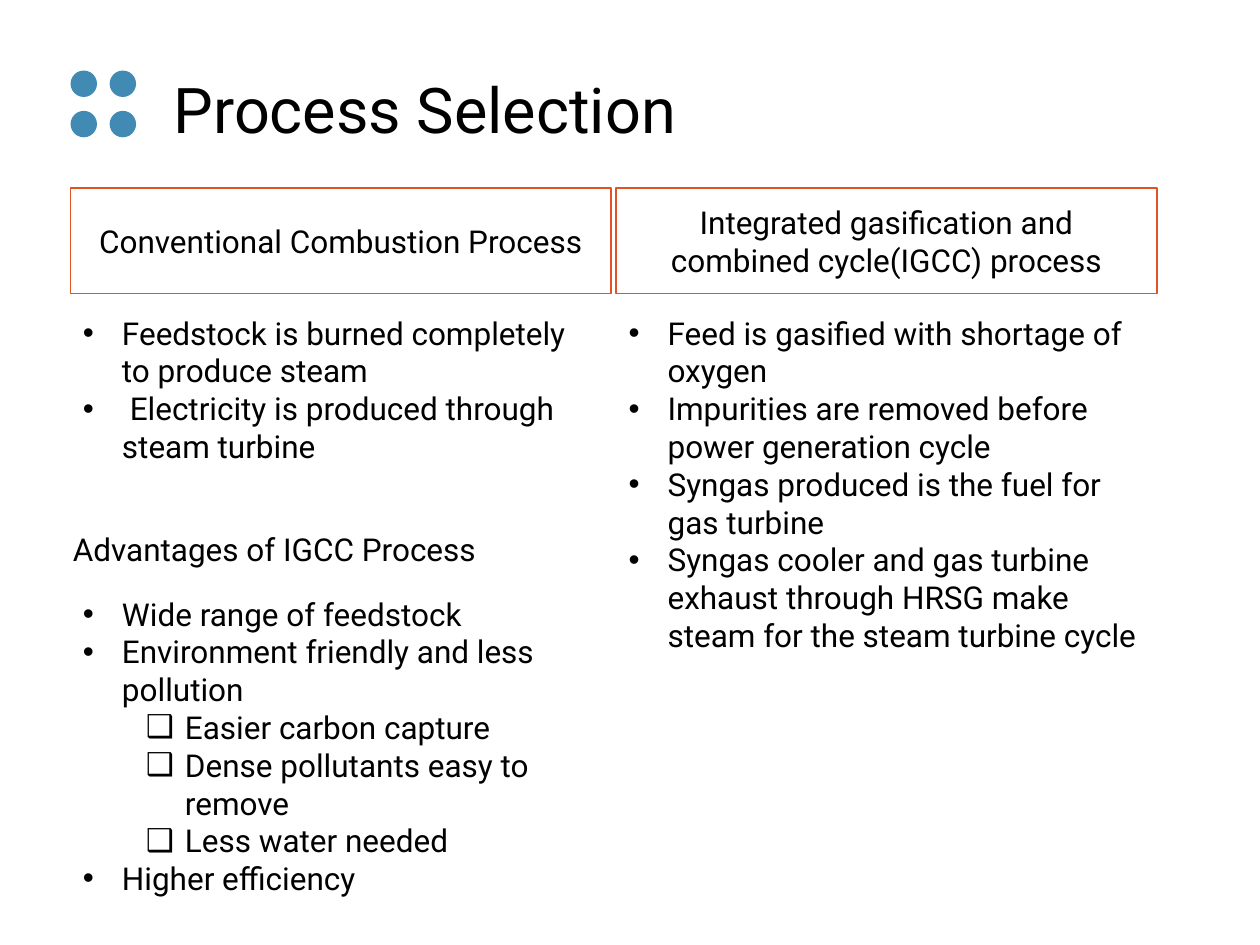
"""Build the Process Selection slide comparing combustion with IGCC."""
from lxml import etree
from pptx import Presentation
from pptx.dml.color import RGBColor
from pptx.enum.shapes import MSO_SHAPE
from pptx.enum.text import MSO_ANCHOR, MSO_AUTO_SIZE, PP_ALIGN
from pptx.oxml.ns import qn
from pptx.util import Pt

PX = 9144
FONT = "Roboto"
BLACK = RGBColor(0x00, 0x00, 0x00)
WHITE = RGBColor(0xFF, 0xFF, 0xFF)
ORANGE = RGBColor(0xDF, 0x53, 0x27)
BLUE = RGBColor(0x41, 0x8A, 0xB3)
RECTANGLE = MSO_SHAPE.RECTANGLE
OVAL = MSO_SHAPE.OVAL
MIDDLE = MSO_ANCHOR.MIDDLE
FIT_TEXT = MSO_AUTO_SIZE.SHAPE_TO_FIT_TEXT
LEFT, CENTER = PP_ALIGN.LEFT, PP_ALIGN.CENTER

LEFT_COLUMN, RIGHT_COLUMN, COLUMN_WIDTH = 56, 489, 429
BULLETS = ["•", "❑"]
INDENT, LEVEL_STEP = 31, 50


def write(frame, items, size=18, align=LEFT, bulleted=False):
    frame.word_wrap = True
    for index, (level, text) in enumerate(items):
        para = frame.paragraphs[0] if index == 0 else frame.add_paragraph()
        para.alignment = align
        para.level = level
        if bulleted:
            props = para._p.get_or_add_pPr()
            props.set("marL", str((INDENT + LEVEL_STEP * level) * PX))
            props.set("indent", str(-INDENT * PX))
            etree.SubElement(props, qn("a:buFont")).set("typeface", "Arial")
            etree.SubElement(props, qn("a:buChar")).set("char", BULLETS[level])
        span = para.add_run()
        span.text = text
        span.font.name = FONT
        span.font.size = Pt(size)
        span.font.color.rgb = BLACK


deck = Presentation()
deck.slide_width = 1000 * PX
deck.slide_height = 750 * PX
page = deck.slides.add_slide(deck.slide_layouts[6])

headings = [
    (LEFT_COLUMN, "Conventional Combustion Process"),
    (RIGHT_COLUMN, "Integrated gasification and combined cycle(IGCC) process"),
]
for left, text in headings:
    box = page.shapes.add_shape(
        RECTANGLE, left * PX, 149 * PX, COLUMN_WIDTH * PX, 84 * PX)
    box.shadow.inherit = False
    box.fill.solid()
    box.fill.fore_color.rgb = WHITE
    box.line.color.rgb = ORANGE
    box.line.width = Pt(1)
    box.text_frame.vertical_anchor = MIDDLE
    write(box.text_frame, [(0, text)], align=CENTER)

combustion = [
    (0, "Feedstock is burned completely to produce steam"),
    (0, " Electricity is produced through steam turbine"),
]
gasification = [
    (0, "Feed is gasified with shortage of oxygen"),
    (0, "Impurities are removed before power generation cycle"),
    (0, "Syngas produced is the fuel for gas turbine"),
    (0, "Syngas cooler and gas turbine exhaust through HRSG make "
        "steam for the steam turbine cycle"),
]
advantages = [
    (0, "Wide range of feedstock"),
    (0, "Environment friendly and less pollution"),
    (1, "Easier carbon capture"),
    (1, "Dense pollutants easy to remove"),
    (1, "Less water needed"),
    (0, "Higher efficiency"),
]
texts = [
    (LEFT_COLUMN, 244, COLUMN_WIDTH, 131, combustion, 18, LEFT, True),
    (RIGHT_COLUMN, 244, COLUMN_WIDTH, 313, gasification, 18, LEFT, True),
    (18, 416, 406, 40, [(0, "Advantages of IGCC Process ")], 18, CENTER, False),
    (LEFT_COLUMN, 467, 391, 283, advantages, 18, LEFT, True),
    (128, 51, 800, 71, [(0, "Process Selection")], 36, LEFT, False),
]
for left, top, width, height, items, size, align, bulleted in texts:
    box = page.shapes.add_textbox(left * PX, top * PX, width * PX, height * PX)
    box.text_frame.auto_size = FIT_TEXT
    write(box.text_frame, items, size, align, bulleted)

dots = page.shapes.add_group_shape()
for top in (56, 88):
    for left in (56, 87):
        dot = dots.shapes.add_shape(OVAL, left * PX, top * PX, 21 * PX, 21 * PX)
        dot.shadow.inherit = False
        dot.fill.solid()
        dot.fill.fore_color.rgb = BLUE
        dot.line.fill.background()

deck.save("out.pptx")
